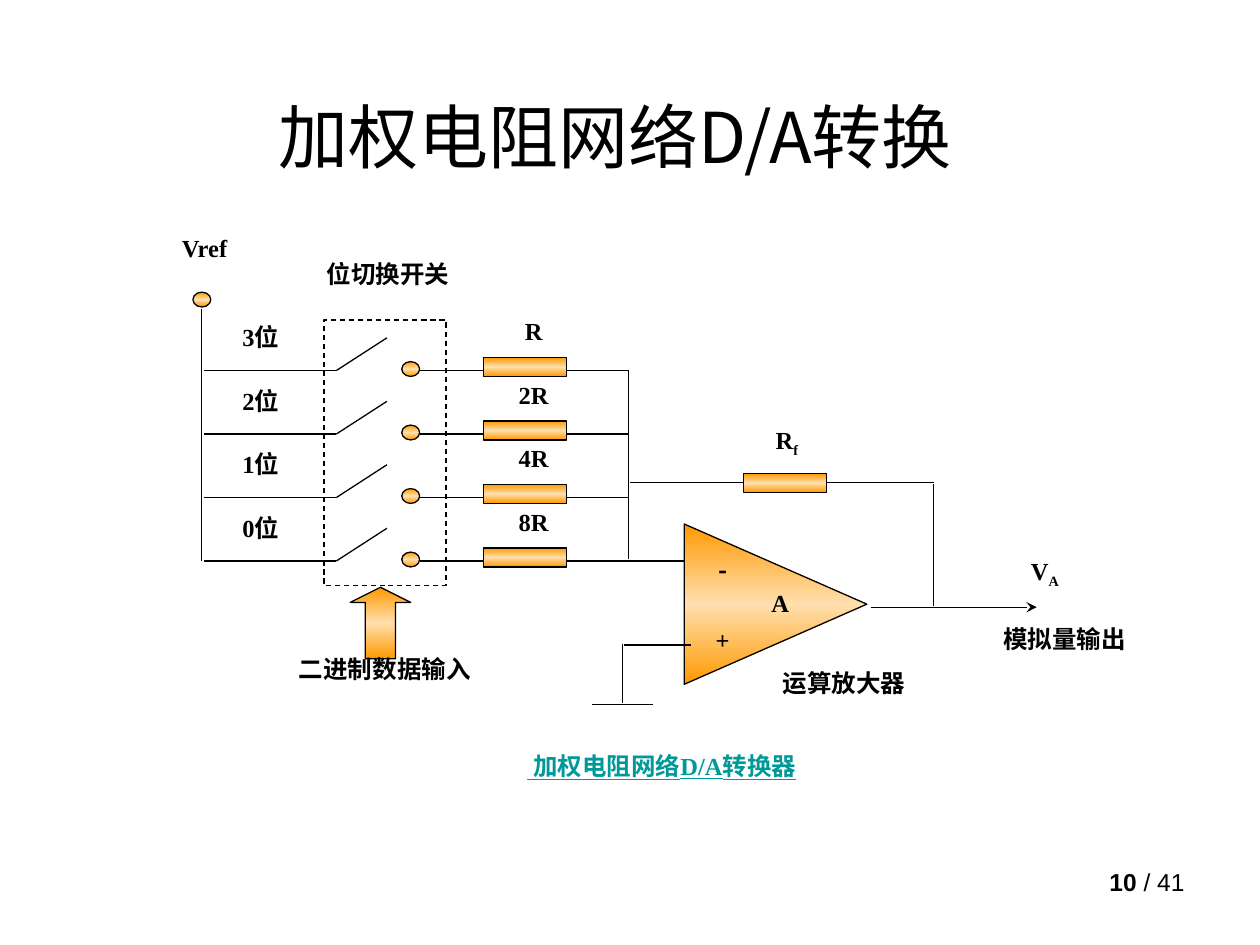
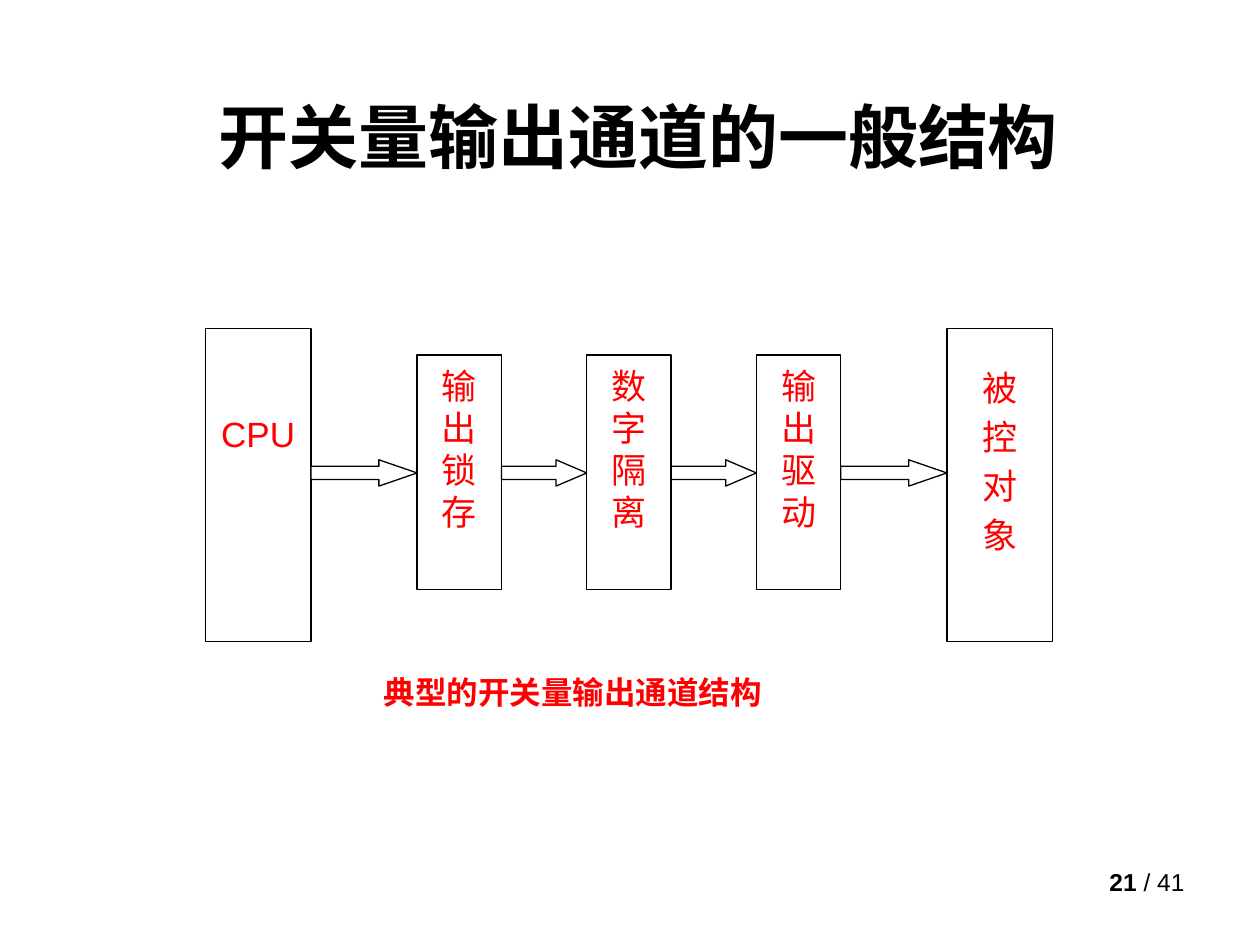
import pptx
import pptx.util
import pptx.dml.color
import pptx.enum.dml
import pptx.enum.shapes
import pptx.enum.text
import pptx.oxml
import pptx.oxml.ns
from lxml import etree

Cm, Pt = pptx.util.Cm, pptx.util.Pt
RGBColor = pptx.dml.color.RGBColor
Shape = pptx.enum.shapes.MSO_SHAPE
Align = pptx.enum.text.PP_ALIGN
Anchor = pptx.enum.text.MSO_ANCHOR

BLACK = RGBColor(0x00, 0x00, 0x00)
WHITE = RGBColor(0xFF, 0xFF, 0xFF)
RED = RGBColor(0xFF, 0x00, 0x00)
TEAL = RGBColor(0x00, 0x99, 0x99)
ORANGE = RGBColor(0xFF, 0x99, 0x00)
CREAM = RGBColor(0xFF, 0xDF, 0xAE)

SERIF, SANS, CHINESE = "Times New Roman", "Arial", "Noto Sans CJK SC"
LINE_WIDTH = Pt(0.75)
PAGE_COUNT = 41


def set_font(paragraph, size, name, color=BLACK, bold=None):
    font = paragraph.font
    font.size, font.name, font.bold = Pt(size), name, bold
    font.color.rgb = color
    defaults = paragraph._p.pPr.find(pptx.oxml.ns.qn("a:defRPr"))
    east_asian = etree.SubElement(defaults, pptx.oxml.ns.qn("a:ea"))
    east_asian.set("typeface", CHINESE)


def add_text(slide, left, top, width, height, text, size=14, name=SERIF,
             color=BLACK, bold=True, align=Align.CENTER, inset=0,
             anchor=Anchor.TOP):
    box = slide.shapes.add_textbox(Cm(left), Cm(top), Cm(width), Cm(height))
    frame = box.text_frame
    frame.word_wrap = True
    frame.vertical_anchor = anchor
    frame.margin_left = frame.margin_right = Cm(inset)
    frame.margin_top = frame.margin_bottom = Cm(inset / 2)
    paragraph = frame.paragraphs[0]
    paragraph.alignment = align
    paragraph.add_run().text = text
    set_font(paragraph, size, name, color, bold)
    return paragraph


def add_subscript(paragraph, text):
    run = paragraph.add_run()
    run.text = text
    run._r.get_or_add_rPr().set("baseline", "-25000")


def add_title(slide, left, text, bold):
    add_text(slide, left, 1.73, 22.86, 2, text, 40, CHINESE, bold=bold,
             inset=0.25, anchor=Anchor.MIDDLE)


def add_page_number(slide, number):
    paragraph = add_text(slide, 18.21, 17.35, 5.92, 1.32, f"{number} ",
                         name=SANS, bold=None, align=Align.RIGHT, inset=0.25)
    paragraph.runs[0].font.bold = True
    paragraph.add_run().text = f"/ {PAGE_COUNT}"


def add_outlined(slide, kind, left, top, width, height):
    shape = slide.shapes.add_shape(kind, Cm(left), Cm(top), Cm(width), Cm(height))
    shape.shadow.inherit = False
    shape.line.color.rgb = BLACK
    shape.line.width = LINE_WIDTH
    return shape


def add_white(slide, kind, left, top, width, height):
    shape = add_outlined(slide, kind, left, top, width, height)
    shape.fill.solid()
    shape.fill.fore_color.rgb = WHITE
    return shape


def add_part(slide, kind, left, top, width, height):
    """Circuit part with the orange sheen."""
    shape = add_outlined(slide, kind, left, top, width, height)
    stops = "".join(
        f'<a:gs pos="{position}"><a:srgbClr val="{color}"/></a:gs>'
        for position, color in ((0, ORANGE), (50000, CREAM), (100000, ORANGE)))
    gradient = pptx.oxml.parse_xml(
        f'<a:gradFill {pptx.oxml.ns.nsdecls("a")} rotWithShape="0">'
        f'<a:gsLst>{stops}</a:gsLst><a:lin ang="5400000" scaled="1"/></a:gradFill>')
    shape._element.spPr.find(pptx.oxml.ns.qn("a:prstGeom")).addnext(gradient)
    return shape


def add_resistor(slide, left, top):
    add_part(slide, Shape.RECTANGLE, left, top, 1.67, 0.38)


def add_terminal(slide, left, top):
    add_part(slide, Shape.OVAL, left, top, 0.36, 0.3)


def add_wire(slide, x1, y1, x2, y2, arrow=False):
    wire = slide.shapes.add_connector(
        pptx.enum.shapes.MSO_CONNECTOR.STRAIGHT, Cm(x1), Cm(y1), Cm(x2), Cm(y2))
    wire.line.color.rgb = BLACK
    wire.line.width = LINE_WIDTH
    if arrow:
        head = etree.SubElement(wire.line._get_or_add_ln(),
                                pptx.oxml.ns.qn("a:tailEnd"))
        head.set("type", "stealth")
    etree.SubElement(wire._element.spPr, pptx.oxml.ns.qn("a:effectLst"))


def add_bit_row(slide, y, bit, resistance, wire_end):
    add_text(slide, 4.42, y - 0.97, 1.68, 0.94, f"{bit}位")
    add_wire(slide, 4.11, y, 6.78, y)
    add_wire(slide, 6.78, y, 7.8, y - 0.66)
    add_wire(slide, 8.43, y, wire_end, y)
    add_terminal(slide, 8.1, y - 0.18)
    add_resistor(slide, 9.75, y - 0.26)
    add_text(slide, 10.06, y - 1.09, 1.4, 0.81, resistance)


def add_block(slide, left, top, width, height, lines, inset, space=0):
    block = add_white(slide, Shape.RECTANGLE, left, top, width, height)
    frame = block.text_frame
    frame.word_wrap = True
    frame.vertical_anchor = Anchor.TOP
    frame.margin_top = Cm(inset)
    for index, line in enumerate(lines):
        paragraph = frame.paragraphs[0] if index == 0 else frame.add_paragraph()
        paragraph.alignment = Align.CENTER
        paragraph.line_spacing = Pt(24)
        if index:
            paragraph.space_before = Pt(space)
        paragraph.add_run().text = line
        set_font(paragraph, 20, SANS, RED)


def build_resistor_network(slide):
    add_page_number(slide, 10)
    add_title(slide, 0.97, "加权电阻网络D/A转换", bold=False)

    # Reference supply and switch bank
    add_text(slide, 3.53, 4.7, 1.19, 0.94, "Vref")
    add_wire(slide, 4.06, 6.22, 4.06, 11.3)
    add_terminal(slide, 3.89, 5.89)
    add_text(slide, 5.49, 5.23, 4.67, 0.86, "位切换开关")
    switch_bank = add_outlined(slide, Shape.RECTANGLE, 6.53, 6.45, 2.46, 5.36)
    switch_bank.fill.background()
    switch_bank.line.dash_style = pptx.enum.dml.MSO_LINE.DASH

    # One row per bit, resistance doubling downwards
    for row, resistance in enumerate(("R", "2R", "4R", "8R")):
        add_bit_row(slide, 7.47 + 1.28 * row, 3 - row, resistance,
                    13.79 if row == 3 else 12.65)
    add_wire(slide, 12.67, 7.45, 12.67, 11.26)

    # Binary input
    add_part(slide, Shape.UP_ARROW, 7.06, 11.84, 1.22, 1.44).adjustments[1] = 0.25
    add_text(slide, 4.42, 13.18, 6.68, 1.12, "二进制数据输入")

    # Feedback loop
    add_wire(slide, 12.7, 9.73, 18.82, 9.73)
    add_wire(slide, 18.82, 9.75, 18.82, 12.22)
    add_resistor(slide, 14.99, 9.55)
    add_subscript(add_text(slide, 15.04, 8.56, 1.65, 0.94, "R"), "f")

    # Operational amplifier and ground
    amplifier = add_part(slide, Shape.FLOWCHART_EXTRACT, 14.02, 10.34, 3.23, 3.68)
    amplifier.rotation = 90
    add_text(slide, 14.05, 11.18, 1.04, 0.81, "-", name=CHINESE)
    add_text(slide, 15.21, 11.86, 1.04, 0.81, "A")
    add_text(slide, 14.05, 12.6, 1.04, 0.79, "+")
    add_text(slide, 14.35, 13.46, 5.33, 1.12, "运算放大器")
    add_wire(slide, 12.57, 13, 13.92, 13)
    add_wire(slide, 12.55, 12.98, 12.55, 14.18)
    add_wire(slide, 11.94, 14.2, 13.16, 14.2)

    # Analogue output
    add_wire(slide, 17.55, 12.24, 20.9, 12.24, arrow=True)
    add_subscript(add_text(slide, 20.24, 11.2, 1.65, 0.94, "V"), "A")
    add_text(slide, 19.13, 12.57, 4.67, 0.94, "模拟量输出", name=CHINESE)

    caption = add_text(slide, 5, 15.14, 16.69, 1.45, " 加权电阻网络D/A转换器",
                       color=TEAL)
    caption.font.underline = True


def build_output_channel(slide):
    add_page_number(slide, 21)
    add_title(slide, 1.44, "开关量输出通道的一般结构", bold=True)

    # Blocks from left to right, each followed by an arrow filling the gap
    tall, short = (6.63, 2.13, 6.3), (7.16, 1.7, 4.72)
    blocks = (
        (tall, ["CPU"], 1.69, 2.14),
        (short, ["输出锁存"], 0.18, 1.72),
        (short, ["数字隔离"], 0.18, 1.72),
        (short, ["输出驱动"], 0.18, 2.14),
        (tall, list("被控对象"), 0.76, 0),
    )
    left, arrow_height = 4.14, 0.53
    for (top, width, height), lines, inset, gap in blocks:
        add_block(slide, left, top, width, height, lines, inset, space=4)
        left += width
        if gap:
            arrow = add_white(slide, Shape.RIGHT_ARROW, left, 9.27, gap, arrow_height)
            arrow.adjustments[1] = 0.36 * gap / arrow_height
        left += gap

    add_text(slide, 7.49, 13.31, 10.95, 1.27, "典型的开关量输出通道结构", 18, SANS,
             RED, align=Align.LEFT, inset=0.25, anchor=Anchor.MIDDLE)


def main():
    presentation = pptx.Presentation()
    presentation.slide_width, presentation.slide_height = Cm(25.4), Cm(19.05)
    blank = presentation.slide_layouts[6]
    for build in (build_resistor_network, build_output_channel):
        build(presentation.slides.add_slide(blank))
    presentation.save("out.pptx")


if __name__ == "__main__":
    main()
